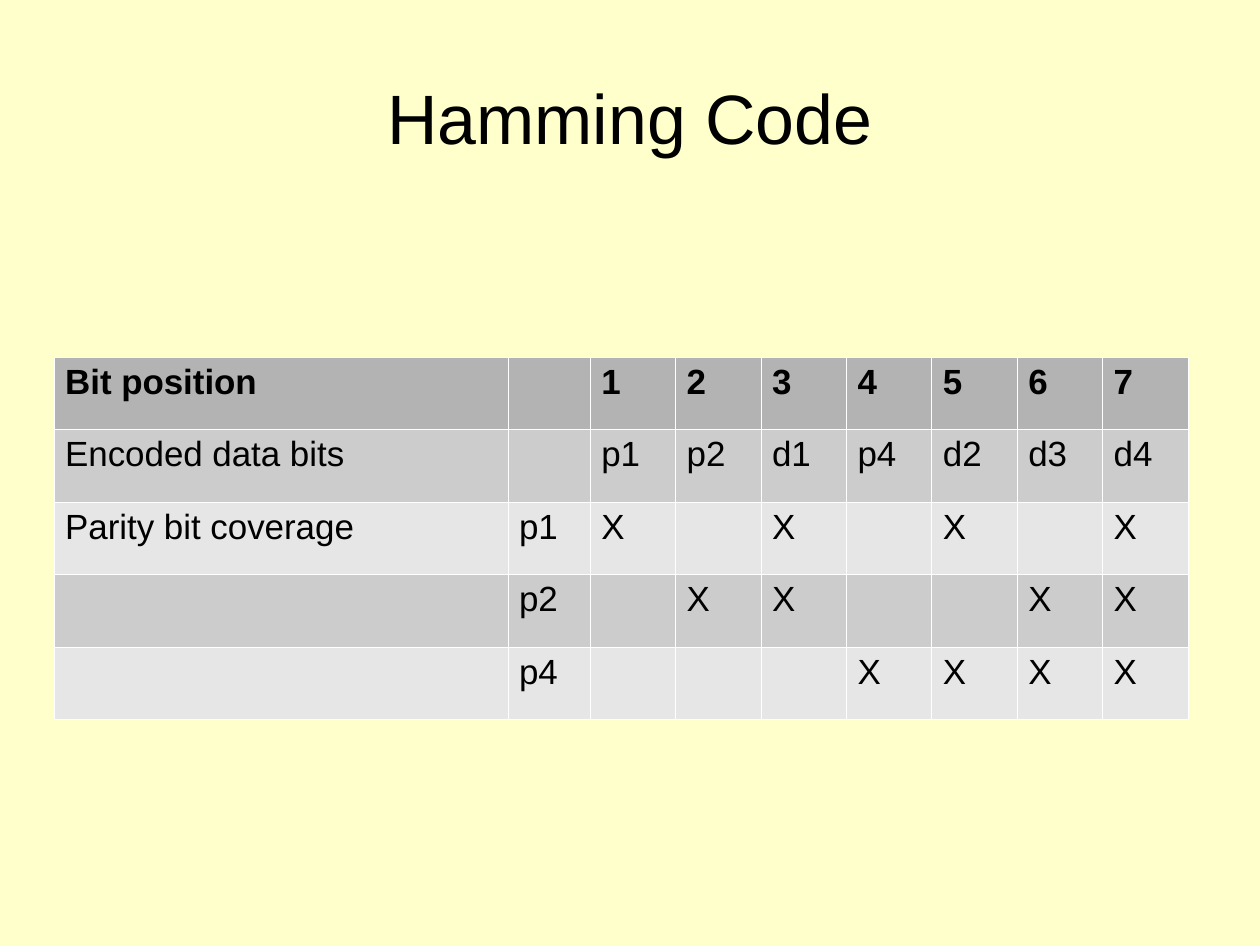
"""Build a slide with the parity coverage table of the Hamming code."""
from lxml import etree
from pptx import Presentation
from pptx import util as u
from pptx.dml.color import RGBColor
from pptx.enum import text
from pptx.oxml import ns

TITLE = "Hamming Code"
ROWS = [
    ("Bit position", "", "1", "2", "3", "4", "5", "6", "7"),
    ("Encoded data bits", "", "p1", "p2", "d1", "p4", "d2", "d3", "d4"),
    ("Parity bit coverage", "p1", "X", "", "X", "", "X", "", "X"),
    ("", "p2", "", "X", "X", "", "", "X", "X"),
    ("", "p4", "", "", "", "X", "X", "X", "X"),
]

FONT = "Arial"
BLACK = RGBColor(0x00, 0x00, 0x00)
WHITE = RGBColor(0xFF, 0xFF, 0xFF)
CREAM = RGBColor(0xFF, 0xFF, 0xCC)
HEADER = RGBColor(0xB3, 0xB3, 0xB3)
BANDS = (RGBColor(0xCC, 0xCC, 0xCC), RGBColor(0xE6, 0xE6, 0xE6))

WIDTH, HEIGHT = 9.92, 3.17
LABEL_WIDTH, PARITY_WIDTH = 3.97, 0.72
BIT_COUNT = len(ROWS[0]) - 2
BIT_WIDTH = (WIDTH - LABEL_WIDTH - PARITY_WIDTH) / BIT_COUNT
COLUMN_WIDTHS = [LABEL_WIDTH, PARITY_WIDTH] + [BIT_WIDTH] * BIT_COUNT


def style(para, size, bold=False):
    para.font.name = FONT
    para.font.size = u.Pt(size)
    para.font.bold = bold
    para.font.color.rgb = BLACK
    for span in para.runs:
        span.font.name = FONT
        span.font.size = u.Pt(size)
        span.font.bold = bold
        span.font.color.rgb = BLACK


def add_borders(cell):
    properties = cell._tc.get_or_add_tcPr()
    for side in ("lnL", "lnR", "lnT", "lnB"):
        line = etree.SubElement(properties, ns.qn(f"a:{side}"), w=str(u.Pt(0.06)))
        fill = etree.SubElement(line, ns.qn("a:solidFill"))
        etree.SubElement(fill, ns.qn("a:srgbClr"), val=str(WHITE))


def add_bit_table(page):
    frame = page.shapes.add_table(
        len(ROWS), len(COLUMN_WIDTHS),
        u.Inches(0.47), u.Inches(3.12), u.Inches(WIDTH), u.Inches(HEIGHT))
    table = frame.table
    for column, width in zip(table.columns, COLUMN_WIDTHS):
        column.width = u.Inches(width)
    for index, (row, values) in enumerate(zip(table.rows, ROWS)):
        row.height = u.Inches(HEIGHT / len(ROWS))
        for cell, value in zip(row.cells, values):
            cell.text = value
            style(cell.text_frame.paragraphs[0], 22, bold=index == 0)
            add_borders(cell)
            cell.fill.solid()
            cell.fill.fore_color.rgb = BANDS[(index - 1) % 2] if index else HEADER


def add_title(page):
    box = page.shapes.add_textbox(
        u.Inches(0.55), u.Inches(0.33), u.Inches(WIDTH), u.Inches(1.38))
    frame = box.text_frame
    frame.word_wrap = True
    frame.vertical_anchor = text.MSO_ANCHOR.MIDDLE
    frame.margin_left = frame.margin_right = 0
    frame.margin_top = frame.margin_bottom = 0
    frame.text = TITLE
    para = frame.paragraphs[0]
    para.alignment = text.PP_ALIGN.CENTER
    style(para, 44)


def main():
    deck = Presentation()
    deck.slide_width, deck.slide_height = u.Inches(11.02), u.Inches(8.27)
    page = deck.slides.add_slide(deck.slide_layouts[6])
    page.background.fill.solid()
    page.background.fill.fore_color.rgb = CREAM
    add_bit_table(page)
    add_title(page)
    deck.save("out.pptx")


if __name__ == "__main__":
    main()
